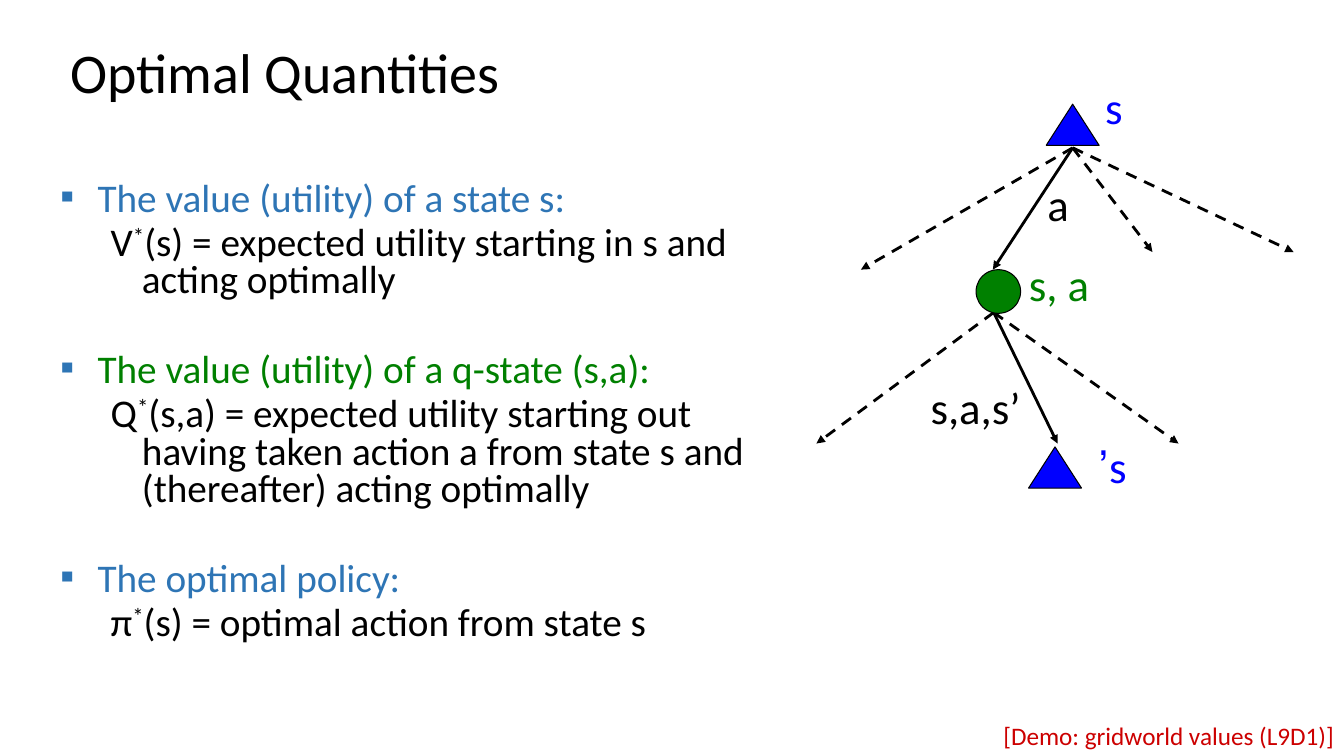
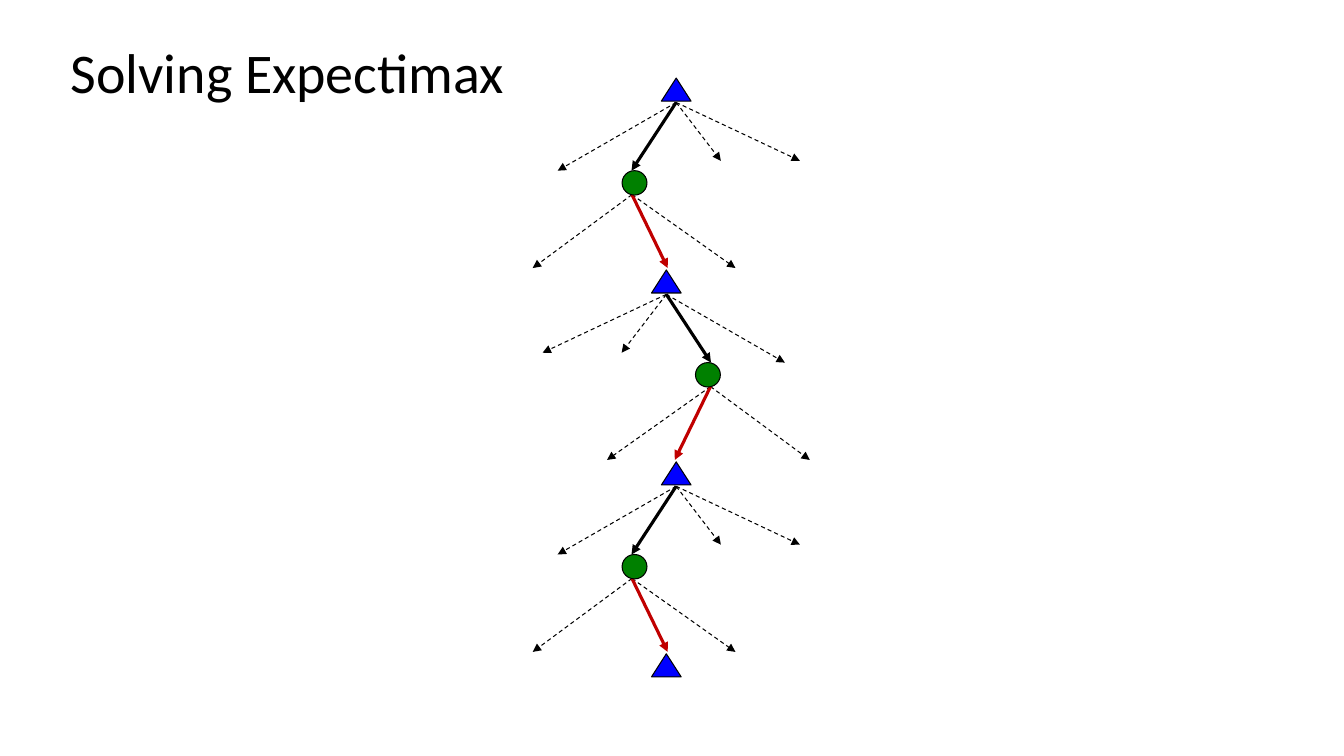
"""Build two slides on optimal quantities and expectimax trees."""
from dataclasses import dataclass
from typing import NamedTuple

from lxml.etree import SubElement
from pptx import Presentation
from pptx.dml.color import RGBColor
from pptx.enum.dml import MSO_LINE
from pptx.enum.shapes import MSO_CONNECTOR, MSO_SHAPE
from pptx.enum.text import MSO_ANCHOR, MSO_AUTO_SIZE, PP_ALIGN
from pptx.oxml.ns import qn
from pptx.util import Inches, Pt

SLIDE_WIDTH, SLIDE_HEIGHT = Inches(13.33), Inches(7.5)
COLUMNS, ROWS = 160, 90


@dataclass(frozen=True)
class Theme:
    """Colours, font and type sizes of the deck."""
    font: str = "Calibri"
    ink: str = "000000"
    state: str = "0000FF"
    chance: str = "008000"
    heading: str = "2E75B5"
    note: str = "CC0000"
    outcome: str = "C00000"
    title_size: float = 40
    label_size: float = 32
    body_size: float = 28
    note_size: float = 18
    outline: float = 0.75


THEME = Theme()


class Point(NamedTuple):
    """A place or an offset in grid columns and rows."""
    x: float
    y: float


class Area(NamedTuple):
    """A rectangle in grid columns and rows."""
    x: float
    y: float
    width: float
    height: float


class Label(NamedTuple):
    """A coloured label of the search tree."""
    text: str
    area: Area
    color: str
    right_to_left: bool = False


class Topic(NamedTuple):
    """A bulleted heading with the definition of one symbol."""
    heading: str
    color: str
    symbol: str
    meaning: str


@dataclass(frozen=True)
class TreeStyle:
    """Scale, line weights and outcome colour of a tree."""
    scale: float
    branch_width: float
    chosen_width: float
    outcome_color: str


TITLE_AREA = Area(7.2, 4.8, 138, 8.3)
BODY_AREA = Area(6, 21.1, 88, 58.9)
NOTE_AREA = Area(101, 85.2, 59, 4.8)

STATE_MARK = Area(-3.15, -5.2, 6.3, 4.9)
CHANCE_MARK = Area(-11.5, 14.5, 5.3, 5.2)
CHOSEN_ACTION = Point(-9.5, 14.5)
OTHER_ACTIONS = (Point(-25.2, 14.5), Point(26.3, 12.4), Point(9.5, 12.4))
CHANCE_FOOT = Point(-9.4, 19.6)
CHOSEN_OUTCOME = Point(7.6, 15.6)
OTHER_OUTCOMES = (Point(-21.1, 15.6), Point(22, 15.6))
NEXT_STATE = Point(-2.1, 40.8)

LARGE_TREE = TreeStyle(1, 2, 2, THEME.ink)
SMALL_TREE = TreeStyle(0.56, 0.75, 2.25, THEME.outcome)

TOPICS = (
    Topic("The value (utility) of a state s:", THEME.heading, "V",
          "(s) = expected utility starting in s and acting optimally"),
    Topic("The value (utility) of a q-state (s,a):", THEME.chance, "Q",
          "(s,a) = expected utility starting out having taken action a "
          "from state s and (thereafter) acting optimally"),
    Topic("The optimal policy:", THEME.heading, "π",
          "(s) = optimal action from state s"),
)

LABELS = (
    Label("a", Area(123.5, 20.5, 5.3, 7.7), THEME.ink),
    Label("s", Area(130.4, 8.9, 5.3, 7.7), THEME.state),
    Label("s, a", Area(121.3, 30, 22.8, 7.7), THEME.chance),
    Label("s,a,s’", Area(109.6, 44.6, 20.5, 7.7), THEME.ink),
    Label("s’", Area(121.7, 51.6, 13.6, 7.7), THEME.state, True),
)


def across(columns: float) -> int:
    """Convert grid columns to slide units."""
    return round(SLIDE_WIDTH * columns / COLUMNS)


def down(rows: float) -> int:
    """Convert grid rows to slide units."""
    return round(SLIDE_HEIGHT * rows / ROWS)


def place(area: Area) -> tuple[int, int, int, int]:
    """Convert a grid area to left, top, width and height."""
    return across(area.x), down(area.y), across(area.width), down(area.height)


def shift(origin: Point, offset: Point, scale: float, side: int) -> Point:
    """Move a point by a scaled offset, mirrored when side is -1."""
    return Point(origin.x + side * scale * offset.x,
                 origin.y + scale * offset.y)


def write(para, text: str, *, size: float = THEME.body_size,
          color: str = THEME.ink, raised: bool = False) -> None:
    """Append a formatted span of text to a paragraph."""
    span = para.add_run()
    span.text = text
    span.font.name = THEME.font
    span.font.size = Pt(size)
    span.font.color.rgb = RGBColor.from_string(color)
    if raised:
        span.font._element.set("baseline", "30000")


def add_box(page, area: Area):
    """Add a wrapping text box and return its text frame."""
    frame = page.shapes.add_textbox(*place(area)).text_frame
    frame.word_wrap = True
    return frame


def add_page(deck, title: str):
    """Add a title-only page with the shared title style."""
    page = deck.slides.add_slide(deck.slide_layouts[5])
    box = page.shapes.title
    box.left, box.top, box.width, box.height = place(TITLE_AREA)
    frame = box.text_frame
    frame.auto_size = MSO_AUTO_SIZE.NONE
    frame.vertical_anchor = MSO_ANCHOR.MIDDLE
    para = frame.paragraphs[0]
    para.alignment = PP_ALIGN.LEFT
    para.line_spacing = 0.9
    write(para, title, size=THEME.title_size)
    return page


def indent(para, margin: float, hanging: float) -> None:
    """Give a paragraph a hanging indent in inches."""
    properties = para._p.get_or_add_pPr()
    properties.set("marL", str(Inches(margin)))
    properties.set("indent", str(-Inches(hanging)))


def add_bullet(para) -> None:
    """Give a paragraph a small square bullet."""
    properties = para._p.get_or_add_pPr()
    color = SubElement(properties, qn("a:buClr"))
    SubElement(color, qn("a:srgbClr"), val=THEME.heading)
    SubElement(properties, qn("a:buFont"), typeface=THEME.font)
    SubElement(properties, qn("a:buChar"), char="▪")


def add_topics(page, topics: tuple[Topic, ...]) -> None:
    """Write the bulleted topics with their definitions."""
    frame = add_box(page, BODY_AREA)
    for number, topic in enumerate(topics):
        heading = frame.add_paragraph() if number else frame.paragraphs[0]
        if number:
            heading.space_before = Pt(37)
        indent(heading, 0.37, 0.37)
        heading.line_spacing = 0.8
        add_bullet(heading)
        write(heading, topic.heading, color=topic.color)
        meaning = frame.add_paragraph()
        meaning.level = 1
        indent(meaning, 0.81, 0.31)
        meaning.line_spacing = 0.8
        meaning.space_before = Pt(4.5)
        write(meaning, topic.symbol)
        write(meaning, "*", raised=True)
        write(meaning, topic.meaning)


def add_label(page, label: Label) -> None:
    """Write one label of the tree."""
    para = add_box(page, label.area).paragraphs[0]
    if label.right_to_left:
        para.alignment = PP_ALIGN.RIGHT
        para._p.get_or_add_pPr().set("rtl", "1")
    write(para, label.text, size=THEME.label_size, color=label.color)


def add_note(page, text: str) -> None:
    """Write the demo note in the lower right corner."""
    para = add_box(page, NOTE_AREA).paragraphs[0]
    para.alignment = PP_ALIGN.RIGHT
    write(para, text, size=THEME.note_size, color=THEME.note)


def add_mark(page, kind: MSO_SHAPE, color: str, mark: Area, foot: Point,
             scale: float, side: int = 1) -> None:
    """Draw a tree node relative to the foot of its state."""
    center = shift(foot, Point(mark.x + mark.width / 2, mark.y), scale, side)
    width, height = mark.width * scale, mark.height * scale
    area = Area(center.x - width / 2, center.y, width, height)
    shape = page.shapes.add_shape(kind, *place(area))
    shape.shadow.inherit = False
    shape.fill.solid()
    shape.fill.fore_color.rgb = RGBColor.from_string(color)
    shape.line.color.rgb = RGBColor.from_string(THEME.ink)
    shape.line.width = Pt(THEME.outline)


def add_state(page, foot: Point, scale: float) -> None:
    """Draw the triangle of a state."""
    add_mark(page, MSO_SHAPE.ISOSCELES_TRIANGLE, THEME.state, STATE_MARK,
             foot, scale)


def add_arrow(page, start: Point, end: Point, width: float, *,
              color: str = THEME.ink, dashed: bool = False) -> None:
    """Draw a straight arrow between two grid points."""
    arrow = page.shapes.add_connector(
        MSO_CONNECTOR.STRAIGHT, across(start.x), down(start.y),
        across(end.x), down(end.y))
    arrow.line.color.rgb = RGBColor.from_string(color)
    arrow.line.width = Pt(width)
    if dashed:
        arrow.line.dash_style = MSO_LINE.DASH
    SubElement(arrow.line._get_or_add_ln(), qn("a:tailEnd"), type="triangle")
    SubElement(arrow._element.spPr, qn("a:effectLst"))


def add_tree(page, foot: Point, style: TreeStyle, side: int = 1) -> Point:
    """Draw a state, its actions and outcomes; return the next foot."""
    scale = style.scale
    chance = shift(foot, CHANCE_FOOT, scale, side)
    add_state(page, foot, scale)
    for start, offsets in ((foot, OTHER_ACTIONS), (chance, OTHER_OUTCOMES)):
        for offset in offsets:
            add_arrow(page, start, shift(start, offset, scale, side),
                      style.branch_width, dashed=True)
    add_arrow(page, foot, shift(foot, CHOSEN_ACTION, scale, side),
              style.chosen_width)
    add_arrow(page, chance, shift(chance, CHOSEN_OUTCOME, scale, side),
              style.chosen_width, color=style.outcome_color)
    add_mark(page, MSO_SHAPE.OVAL, THEME.chance, CHANCE_MARK, foot, scale,
             side)
    return shift(foot, NEXT_STATE, scale, side)


def add_chain(page, foot: Point, style: TreeStyle,
              sides: tuple[int, ...]) -> None:
    """Draw trees below one another and close with a last state."""
    for side in sides:
        foot = add_tree(page, foot, style, side)
    add_state(page, foot, style.scale)


def main() -> None:
    """Build and save the deck."""
    deck = Presentation()
    deck.slide_width, deck.slide_height = SLIDE_WIDTH, SLIDE_HEIGHT
    quantities = add_page(deck, "Optimal Quantities")
    add_topics(quantities, TOPICS)
    add_note(quantities, "[Demo: gridworld values (L9D1)]")
    add_chain(quantities, Point(127.7, 17.6), LARGE_TREE, (1,))
    for label in LABELS:
        add_label(quantities, label)
    expectimax = add_page(deck, "Solving Expectimax")
    add_chain(expectimax, Point(80.5, 12.2), SMALL_TREE, (1, -1, 1))
    deck.save("out.pptx")


if __name__ == "__main__":
    main()
